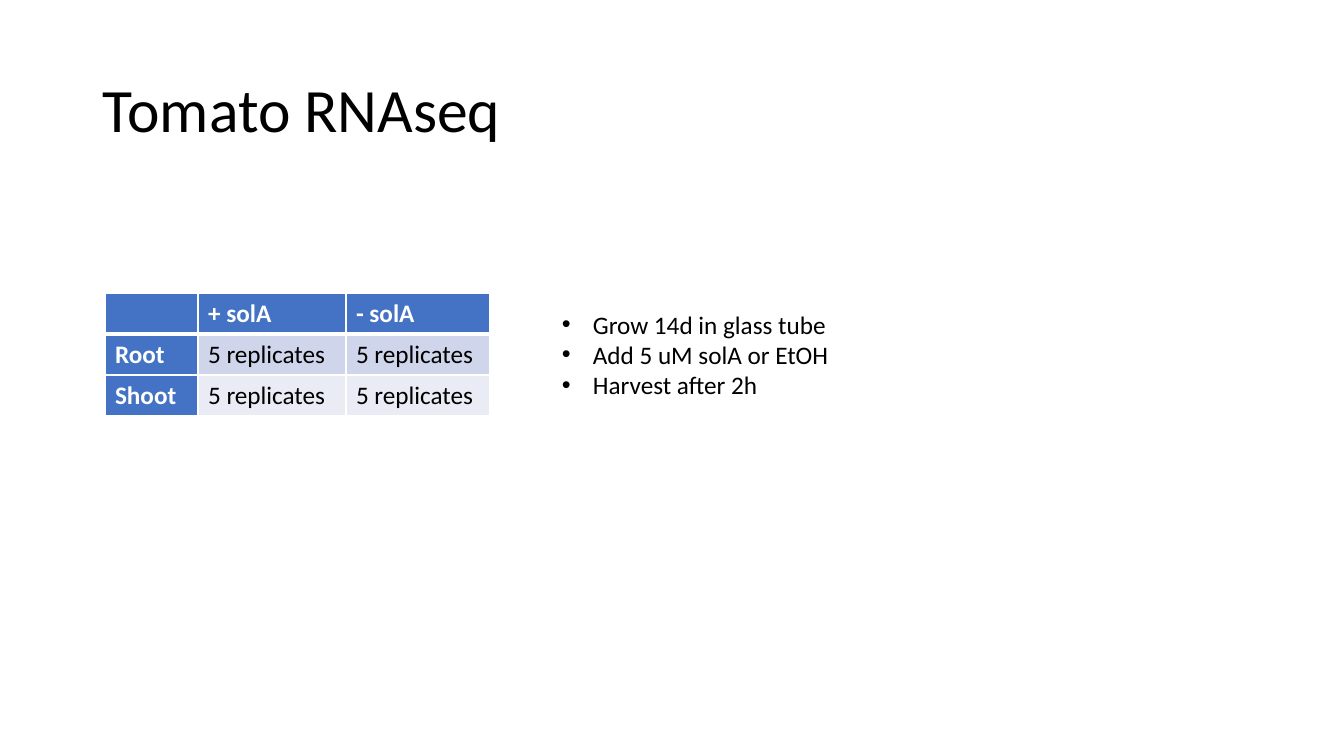
from lxml import etree
from pptx import Presentation
from pptx.dml.color import RGBColor
from pptx.enum.text import MSO_ANCHOR, MSO_AUTO_SIZE
from pptx.oxml.ns import qn
from pptx.util import Emu, Pt

MIDDLE = MSO_ANCHOR.MIDDLE
GROW = MSO_AUTO_SIZE.SHAPE_TO_FIT_TEXT

PX_PER_INCH = 100.8
FONT = "Calibri"
COLORS = {
    "black": "000000",
    "white": "FFFFFF",
    "header": "4472C4",
    "band_dark": "CFD5EA",
    "band_light": "E9EBF5",
}
REPLICATES = [
    ["", "+ solA", "- solA"],
    ["Root", "5 replicates", "5 replicates"],
    ["Shoot", "5 replicates", "5 replicates"],
]
STEPS = ["Grow 14d in glass tube", "Add 5 uM solA or EtOH", "Harvest after 2h"]


def px(n):
    return Emu(round(n * 914400 / PX_PER_INCH))


def rgb(name):
    return RGBColor.from_string(COLORS[name])


def format_runs(tf, size, color="black", bold=False):
    for p in tf.paragraphs:
        for r in p.runs:
            r.font.name = FONT
            r.font.size = Pt(size)
            r.font.bold = bold
            r.font.color.rgb = rgb(color)


def add_text(s, box, lines, size):
    sp = s.shapes.add_textbox(*map(px, box))
    tf = sp.text_frame
    tf.text = "\n".join(lines)
    format_runs(tf, size)
    return tf


def add_title(s, box, text):
    tf = add_text(s, box, [text], 44)
    tf.word_wrap = True
    tf.vertical_anchor = MIDDLE
    tf.paragraphs[0].line_spacing = 0.9


def add_bullets(s, box, lines):
    tf = add_text(s, box, lines, 18)
    tf.word_wrap = False
    tf.auto_size = GROW
    indent = px(31)
    for p in tf.paragraphs:
        pPr = p._p.get_or_add_pPr()
        pPr.set("marL", str(indent))
        pPr.set("indent", str(-indent))
        etree.SubElement(pPr, qn("a:buFont"), typeface="Arial")
        etree.SubElement(pPr, qn("a:buChar"), char="•")


def set_borders(cell, top, bottom):
    """White borders; side lines are 1 pt, top and bottom as given."""
    tcPr = cell._tc.get_or_add_tcPr()
    for side, width in (("L", 1), ("R", 1), ("T", top), ("B", bottom)):
        ln = etree.SubElement(tcPr, qn(f"a:ln{side}"), w=str(Pt(width)))
        fill = etree.SubElement(ln, qn("a:solidFill"))
        etree.SubElement(fill, qn("a:srgbClr"), val=COLORS["white"])


def add_grid(s, left, top, widths, row_height, rows):
    box = (left, top, sum(widths), row_height * len(rows))
    table = s.shapes.add_table(len(rows), len(widths), *map(px, box)).table
    table.first_col = True
    for column, width in zip(table.columns, widths):
        column.width = px(width)
    for i, values in enumerate(rows):
        table.rows[i].height = px(row_height)
        band = "band_dark" if i % 2 else "band_light"
        for j, value in enumerate(values):
            cell = table.cell(i, j)
            is_header = i == 0 or j == 0
            cell.text_frame.text = value
            format_runs(cell.text_frame, 18,
                        "white" if is_header else "black", is_header)
            # The line below the header row is thicker
            set_borders(cell, 3 if i == 1 else 1, 3 if i == 0 else 1)
            cell.fill.solid()
            cell.fill.fore_color.rgb = rgb("header" if is_header else band)


def main():
    prs = Presentation()
    prs.slide_width, prs.slide_height = px(1344), px(756)
    s = prs.slides.add_slide(prs.slide_layouts[6])

    # Title
    add_title(s, (93, 40, 1159, 146), "Tomato RNAseq")
    # Replicates per tissue and treatment
    add_grid(s, 105, 293, [93, 148, 144], 41, REPLICATES)
    # Treatment steps
    add_bullets(s, (552, 304, 290, 102), STEPS)

    prs.save("out.pptx")


if __name__ == "__main__":
    main()
